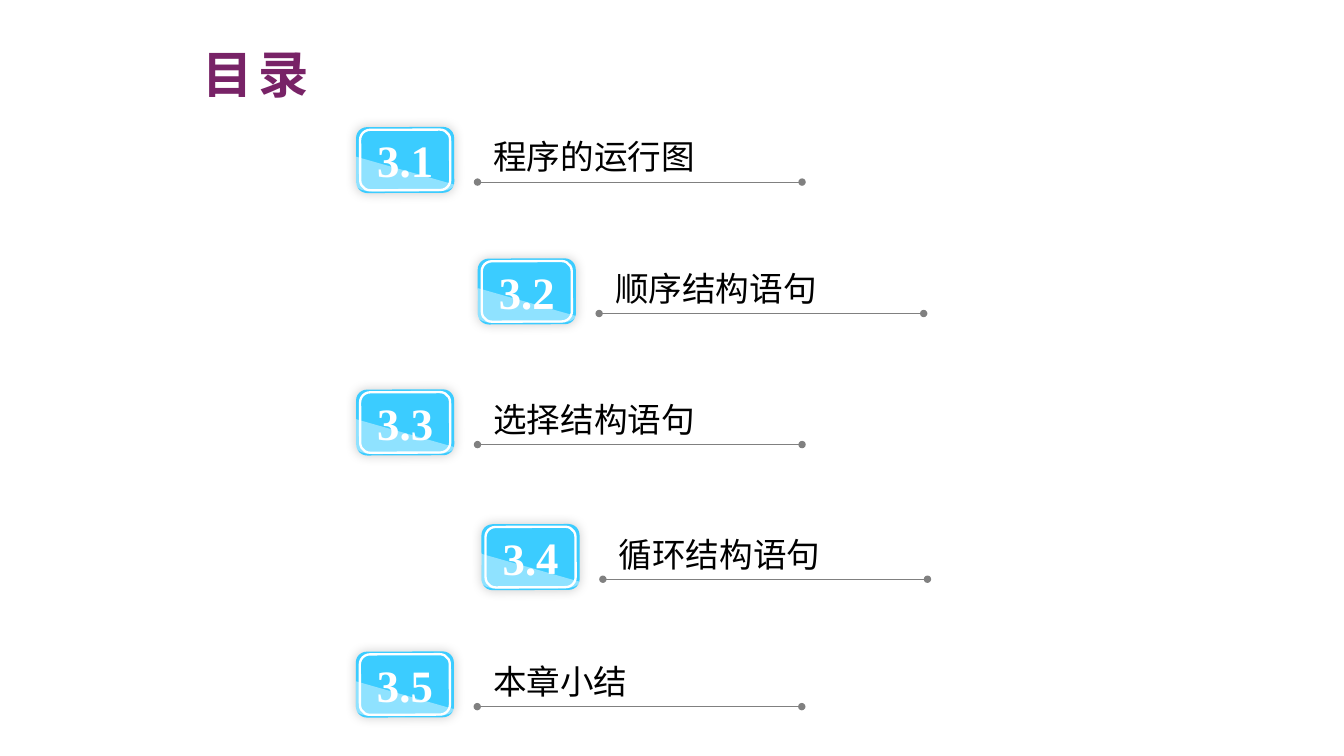
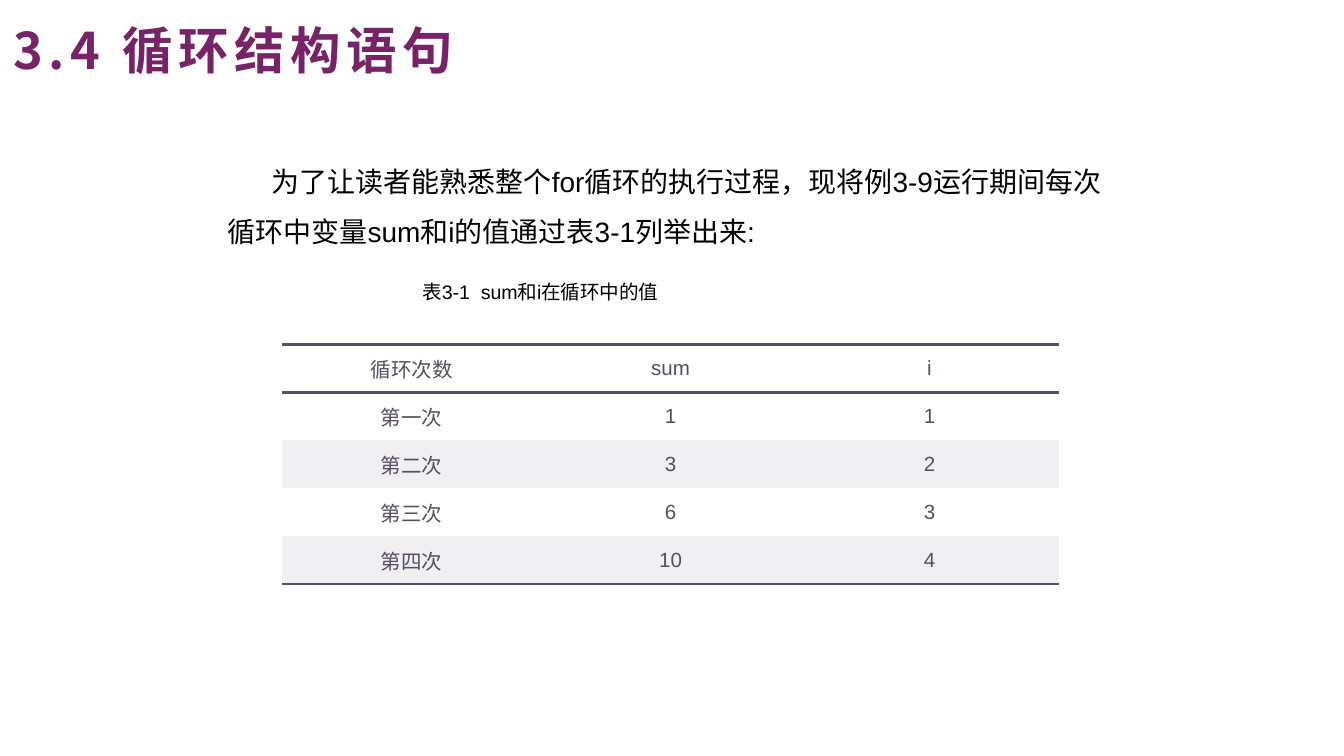
from math import cos, sin, pi
from lxml.etree import SubElement
from pptx import Presentation
from pptx.dml.color import RGBColor
from pptx.enum.dml import MSO_LINE
from pptx.enum.shapes import MSO_CONNECTOR, MSO_SHAPE
from pptx.enum.text import MSO_ANCHOR, MSO_AUTO_SIZE, PP_ALIGN
from pptx.oxml import parse_xml
from pptx.oxml.ns import nsdecls, qn
from pptx.util import Inches, Pt

COLORS = {
    "title": "782367", "badge": "3BCCFF", "white": "FFFFFF", "black": "000000",
    "rule": "808080", "table": "584E61", "band": "F0EFF2",
}
RGB = {name: RGBColor.from_string(value) for name, value in COLORS.items()}
CJK = "Noto Sans CJK SC"
SERIF = "Times New Roman"
SANS = "Arial"
TILT = 359.8

prs = Presentation()
prs.slide_width = Inches(10)
prs.slide_height = prs.slide_width * 9 // 16
COL, ROW = prs.slide_width / 100, prs.slide_height / 56.25


def grid(left, top, width, height):
    return int(left * COL), int(top * ROW), int(width * COL), int(height * ROW)


def style(p, size, font, color, bold=False, spacing=0):
    for r in p.runs:
        r.font.size, r.font.name, r.font.bold = Pt(size), font, bold
        r.font.color.rgb = RGB[color]
        rPr = r._r.get_or_add_rPr()
        SubElement(rPr, qn("a:ea")).set("typeface", CJK)
        if spacing:
            rPr.set("spc", str(spacing * 100))


titles = [
    ("目录", (14.1, 2.7, 10.9, 5.5)),
    ("3.4 循环结构语句", (0, 0.9, 61.9, 5.9)),
]
slides = []
for text, box in titles:
    s = prs.slides.add_slide(prs.slide_layouts[6])
    tf = s.shapes.add_textbox(*grid(*box)).text_frame
    tf.word_wrap = True
    tf.text = text
    style(tf.paragraphs[0], 27, CJK, "title", bold=True, spacing=3)
    slides.append(s)
contents, loop_slide = slides

chapters = [
    ("3.1", "程序的运行图", 26.5, 9.45),
    ("3.2", "顺序结构语句", 35.55, 19.23),
    ("3.3", "选择结构语句", 26.5, 28.98),
    ("3.4", "循环结构语句", 35.83, 39),
    ("3.5", "本章小结", 26.48, 48.48),
]
BADGE_W, BADGE_H = 7.3, 4.9
CORNER_X, CORNER_Y = 1.2, 0.5
arc = [pi / 2 * step / 4 for step in range(5)]
gloss = [(0, 2.2)]
gloss += [(BADGE_W - CORNER_X + CORNER_X * cos(a), 4.3 + CORNER_Y * sin(a)) for a in arc]
gloss += [(CORNER_X - CORNER_X * sin(a), 4.3 + CORNER_Y * cos(a)) for a in arc]

for number, name, left, top in chapters:
    group = contents.shapes.add_group_shape().shapes

    badge = group.add_shape(MSO_SHAPE.ROUNDED_RECTANGLE, *grid(left, top, BADGE_W, BADGE_H))
    badge.fill.solid()
    badge.fill.fore_color.rgb = RGB["badge"]
    badge.line.fill.background()
    badge.shadow.inherit = False
    badge._element.spPr.find(qn("a:effectLst")).append(parse_xml(
        f'<a:outerShdw {nsdecls("a")} blurRad="{Pt(6)}" dist="0" dir="13500000">'
        f'<a:srgbClr val="{COLORS["black"]}"><a:alpha val="20000"/></a:srgbClr></a:outerShdw>'))
    tf = badge.text_frame
    tf.text = number
    tf.vertical_anchor = MSO_ANCHOR.MIDDLE
    tf.paragraphs[0].alignment = PP_ALIGN.CENTER
    style(tf.paragraphs[0], 24, SERIF, "white", bold=True)

    frame = group.add_shape(
        MSO_SHAPE.ROUNDED_RECTANGLE, *grid(left + 0.3, top + 0.2, BADGE_W - 0.6, BADGE_H - 0.4))
    frame.fill.background()
    frame.line.color.rgb = RGB["white"]
    frame.line.width = Pt(1.25)
    frame.shadow.inherit = False

    points = [grid(left + x, top + y, 0, 0)[:2] for x, y in gloss]
    outline = group.build_freeform(*points[0])
    outline.add_line_segments(points[1:], close=True)
    shine = outline.convert_to_shape()
    shine.fill.solid()
    shine.fill.fore_color.rgb = RGB["white"]
    clr = shine._element.spPr.find(qn("a:solidFill"))[0]
    SubElement(clr, qn("a:alpha")).set("val", "43000")
    shine.line.fill.background()
    shine.shadow.inherit = False

    for sp in (badge, frame, shine):
        sp.rotation = TILT

    x, y, length, _ = grid(left + 9.03, top + 4.1, 24.15, 0)
    rule = group.add_connector(MSO_CONNECTOR.STRAIGHT, x, y, x + length, y)
    rule.line.color.rgb = RGB["rule"]
    rule.line.width = Pt(0.25)
    rule.line.dash_style = MSO_LINE.ROUND_DOT
    ln = rule.line._get_or_add_ln()
    for tag in ("a:headEnd", "a:tailEnd"):
        end = SubElement(ln, qn(tag))
        for key, value in (("type", "oval"), ("w", "sm"), ("len", "sm")):
            end.set(key, value)
    SubElement(rule._element.spPr, qn("a:effectLst"))

    label = group.add_textbox(*grid(left + 9.23, top + 0.2, 2 + 2.5 * len(name), 4))
    tf = label.text_frame
    tf.text = name
    tf.word_wrap = False
    tf.auto_size = MSO_AUTO_SIZE.SHAPE_TO_FIT_TEXT
    style(tf.paragraphs[0], 18, CJK, "black")

body = [
    ("为了让读者能熟悉整个for循环的执行过程，现将例3-9运行期间每次循环中变量sum和i的值通过表3-1列举出来:", 15, 0, 3.3),
    ("表3-1  sum和i在循环中的值", 10.5, 14.5, 0),
]
tf = loop_slide.shapes.add_textbox(*grid(16.23, 7.7, 67.5, 46.5)).text_frame
tf.word_wrap = True
tf.margin_left = tf.margin_right = Inches(0.07)
tf.margin_top, tf.margin_bottom = Inches(0.33), Inches(0.04)
for i, (text, size, margin, indent) in enumerate(body):
    p = tf.add_paragraph() if i else tf.paragraphs[0]
    p.text = text
    p.line_spacing = 1.5
    if i:
        p.space_before = Pt(10.5)
    pPr = p._p.get_or_add_pPr()
    pPr.set("marL", str(int(margin * COL)))
    pPr.set("indent", str(int(indent * COL)))
    style(p, size, SANS, "black")

rows = [
    ("循环次数", "sum", "i"),
    ("第一次", "1", "1"),
    ("第二次", "3", "2"),
    ("第三次", "6", "3"),
    ("第四次", "10", "4"),
]
borders = {0: ("lnT", "lnB"), 1: ("lnT",), len(rows) - 1: ("lnB",)}
RULED = f'<a:solidFill><a:srgbClr val="{COLORS["table"]}"/></a:solidFill>'
table = loop_slide.shapes.add_table(len(rows), 3, *grid(21, 25.63, 57.8, 17.85)).table
table.first_row = table.horz_banding = False
table._tbl.tblPr[0].text = "{2D5ABB26-0587-4C30-8999-92F81FD0307C}"
for i, row in enumerate(rows):
    for j, text in enumerate(row):
        cell = table.cell(i, j)
        cell.text = text
        cell.vertical_anchor = MSO_ANCHOR.MIDDLE
        cell.margin_left = cell.margin_right = Inches(0.06)
        cell.margin_top = cell.margin_bottom = 0
        cell.fill.solid()
        cell.fill.fore_color.rgb = RGB["band" if i and i % 2 == 0 else "white"]
        p = cell.text_frame.paragraphs[0]
        p.alignment = PP_ALIGN.CENTER
        style(p, 11, SANS, "table")
        tcPr = cell._tc.get_or_add_tcPr()
        for k, side in enumerate(("lnL", "lnR", "lnT", "lnB")):
            paint = RULED if side in borders.get(i, ()) else "<a:noFill/>"
            tcPr.insert(k, parse_xml(
                f'<a:{side} {nsdecls("a")} w="{Pt(1.5)}">{paint}</a:{side}>'))

prs.save("out.pptx")
